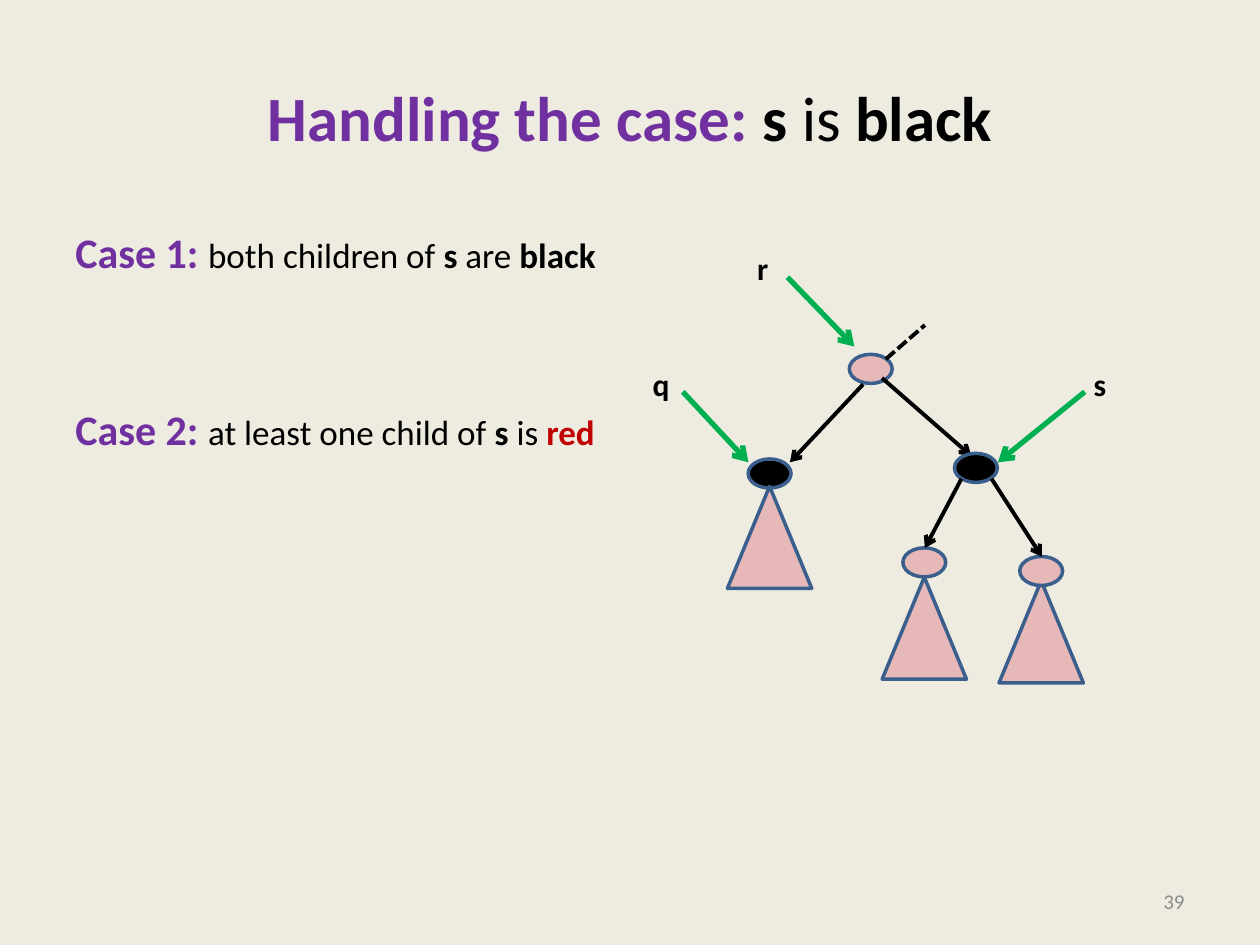
from dataclasses import dataclass

from lxml import etree
from pptx import Presentation
from pptx.dml.color import RGBColor
from pptx.enum import dml, shapes, text
from pptx.oxml.ns import qn
from pptx.util import Pt


@dataclass(frozen=True)
class Theme:
    font: str = "Calibri"
    background: str = "EEECE1"
    ink: str = "000000"
    accent: str = "7030A0"
    red: str = "C00000"
    pointer: str = "00B050"
    pink: str = "E6B9B8"
    outline: str = "3A5F8C"
    muted: str = "8C8C8C"
    title: int = 36
    case: int = 24
    body: int = 20
    label: int = 18
    number: int = 12
    outline_width: float = 2
    edge_width: float = 2.25
    pointer_width: float = 3


THEME = Theme()
NODE_SIZE = (24.5, 16.6)
SUBTREE_SIZE = (48.2, 58.3)


def set_values(target, values):
    for name, value in values.items():
        setattr(target, name, value)


def fill_para(para, spans, align=text.PP_ALIGN.LEFT):
    """Each span is (words, size, colour, bold)."""
    para.alignment = align
    for words, size, colour, bold in spans:
        span = para.add_run()
        span.text = words
        set_values(span.font, {"name": THEME.font, "size": Pt(size), "bold": bold})
        span.font.color.rgb = RGBColor.from_string(colour)


def add_box(page, area, wrap=True, anchor=text.MSO_ANCHOR.TOP):
    frame = page.shapes.add_textbox(*map(Pt, area)).text_frame
    set_values(frame, {"word_wrap": wrap, "vertical_anchor": anchor})
    return frame


def add_title(page, area):
    title = page.shapes.title
    places = dict(zip(("left", "top", "width", "height"), map(Pt, area)))
    set_values(title, places)
    title.text_frame.vertical_anchor = text.MSO_ANCHOR.MIDDLE
    fill_para(title.text_frame.paragraphs[0], [
        ("Handling the case:", THEME.title, THEME.accent, True),
        (" s ", THEME.title, THEME.ink, True),
        ("is ", THEME.title, THEME.ink, False),
        ("black", THEME.title, THEME.ink, True),
    ], text.PP_ALIGN.CENTER)


def add_cases(page, area):
    cases = [
        ("Case 1: ", "both children of ", " are ", "black", THEME.ink),
        ("Case 2: ", "at least one child of ", " is ", "red", THEME.red),
    ]
    frame = add_box(page, area)
    for index, (name, start, verb, colour_word, colour) in enumerate(cases):
        para = frame.add_paragraph() if index else frame.paragraphs[0]
        if index:
            para.space_before = Pt(72)
        fill_para(para, [
            (name, THEME.case, THEME.accent, True),
            (start, THEME.body, THEME.ink, False),
            ("s", THEME.body, THEME.ink, True),
            (verb, THEME.body, THEME.ink, False),
            (colour_word, THEME.body, colour, True),
        ])


def add_page_number(page, area):
    frame = add_box(page, area, anchor=text.MSO_ANCHOR.MIDDLE)
    fill_para(frame.paragraphs[0], [("39", THEME.number, THEME.muted, False)],
              text.PP_ALIGN.RIGHT)


def add_tree(page, area):
    left, top = area[:2]

    def add_part(kind, x, y, size, fill):
        part = page.shapes.add_shape(
            kind, Pt(left + x), Pt(top + y), *map(Pt, size))
        part.shadow.inherit = False
        part.fill.solid()
        part.fill.fore_color.rgb = RGBColor.from_string(fill)
        part.line.color.rgb = RGBColor.from_string(THEME.outline)
        part.line.width = Pt(THEME.outline_width)

    def add_node(x, y, fill):
        """Centre the node on x, y."""
        width, height = NODE_SIZE
        add_part(shapes.MSO_SHAPE.OVAL, x - width / 2, y - height / 2,
                 NODE_SIZE, fill)

    def add_subtree(x, y):
        """Put the apex at x, y."""
        add_part(shapes.MSO_SHAPE.ISOSCELES_TRIANGLE, x - SUBTREE_SIZE[0] / 2, y,
                 SUBTREE_SIZE, THEME.pink)

    def add_line(start, end, colour=THEME.ink, width=THEME.edge_width, dashed=False):
        line = page.shapes.add_connector(
            shapes.MSO_CONNECTOR.STRAIGHT, Pt(left + start[0]), Pt(top + start[1]),
            Pt(left + end[0]), Pt(top + end[1]))
        line.line.color.rgb = RGBColor.from_string(colour)
        line.line.width = Pt(width)
        if dashed:
            line.line.dash_style = dml.MSO_LINE.SQUARE_DOT
        else:
            etree.SubElement(line.line._get_or_add_ln(), qn("a:tailEnd"), type="arrow")
        etree.SubElement(line._element.spPr, qn("a:effectLst"))

    def add_pointer(name, corner, start, end):
        add_line(start, end, THEME.pointer, THEME.pointer_width)
        frame = add_box(page, (left + corner[0], top + corner[1], 24, 29), wrap=False)
        fill_para(frame.paragraphs[0], [(name, THEME.label, THEME.ink, True)])

    add_node(137.6, 74.8, THEME.pink)
    add_line((133.2, 83.6), (91.4, 128.2))
    add_line((146.2, 69.2), (168.5, 49.8), dashed=True)
    add_line((144, 80), (195.1, 124.6))
    add_node(197.7, 131.4, THEME.ink)
    add_node(79.8, 134.6, THEME.ink)
    add_subtree(79.8, 141.9)

    for x, node_y, apex_y in [(235, 190.3, 195.9), (168.2, 185.4, 193.8)]:
        add_subtree(x, apex_y)
        add_node(x, node_y, THEME.pink)
    add_line((189.4, 137.6), (168.5, 177.2))
    add_line((206.6, 137.6), (235.4, 182.2))

    add_pointer("q", (5.8, 69.2), (30.2, 87.9), (67.7, 128.2))
    add_pointer("s", (257.8, 69.2), (259.9, 87.9), (210.2, 128.2))
    add_pointer("r", (65.5, 3), (90, 22.4), (128.2, 62))


def main():
    deck = Presentation()
    set_values(deck, {"slide_width": Pt(720), "slide_height": Pt(540)})
    page = deck.slides.add_slide(deck.slide_layouts.get_by_name("Title Only"))
    page.background.fill.solid()
    page.background.fill.fore_color.rgb = RGBColor.from_string(THEME.background)
    add_title(page, (36, 21.6, 648, 90))
    add_cases(page, (36, 126, 648, 356.4))
    add_page_number(page, (516, 500.5, 168, 28.8))
    add_tree(page, (360, 136, 290, 256))
    deck.save("out.pptx")


if __name__ == "__main__":
    main()
